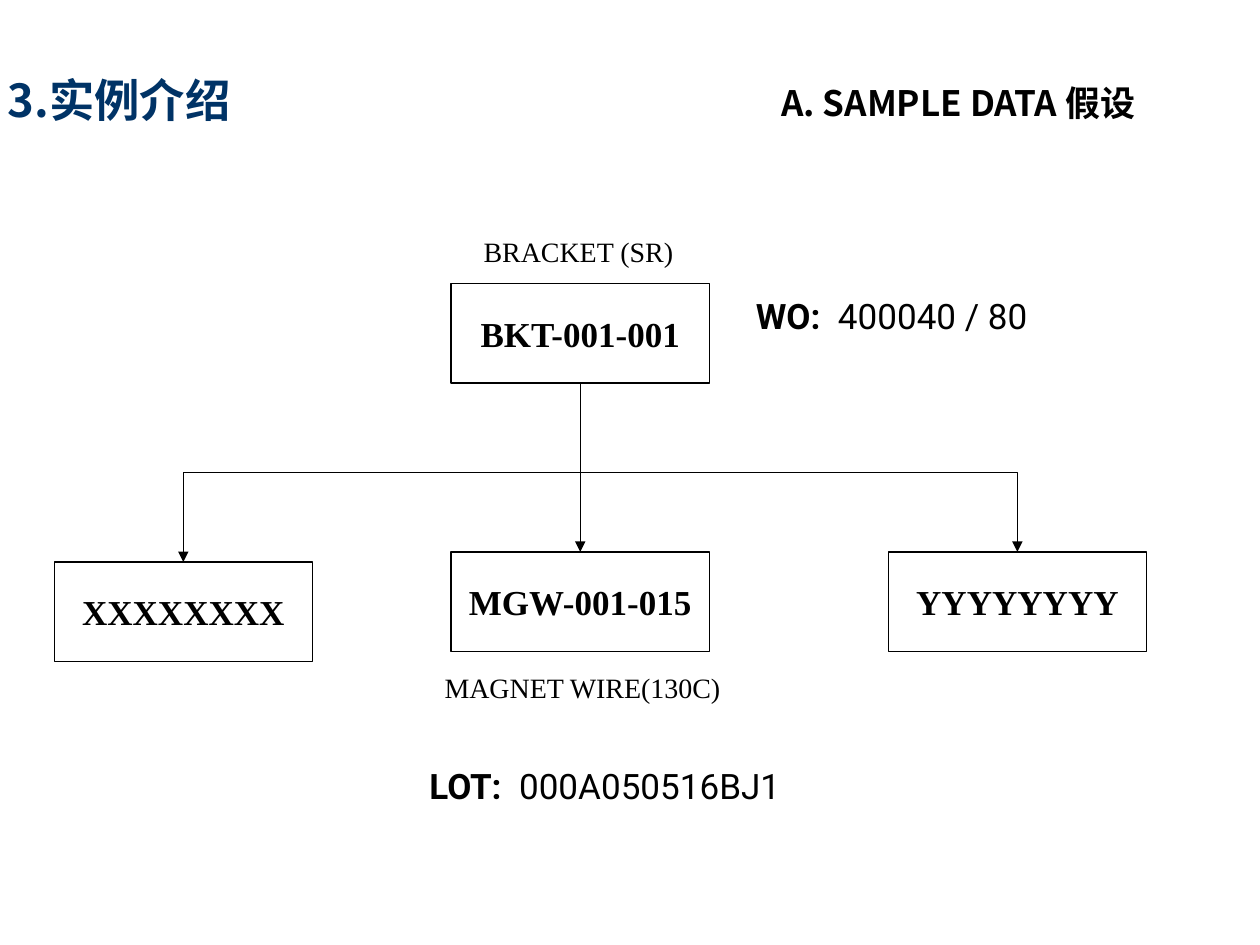
import pptx
import pptx.util
import pptx.dml.color
import pptx.enum.shapes
import pptx.enum.text
import pptx.oxml
import pptx.oxml.ns
from lxml import etree

BLACK = pptx.dml.color.RGBColor(0, 0, 0)
WHITE = pptx.dml.color.RGBColor(255, 255, 255)
NAVY = pptx.dml.color.RGBColor(0x00, 0x33, 0x66)
CJK, SERIF, SANS = "Noto Sans CJK TC", "Times New Roman", "Roboto"
NODE_W, NODE_H = 2.05, 0.79
inch = pptx.util.Inches


def sub(parent, tag, **attrs):
    return etree.SubElement(parent, pptx.oxml.ns.qn(tag), **attrs)


def add_run(p, text, name, size, bold=False, color=BLACK):
    r = p.add_run()
    r.text = text
    for key, value in {"name": name, "size": pptx.util.Pt(size), "bold": bold}.items():
        setattr(r.font, key, value)
    r.font.color.rgb = color
    sub(r.font._element, "a:ea", typeface=name)


def add_label(s, box, runs, wrap=False):
    """Text box holding (text, font, size, bold, colour) runs."""
    sp = s.shapes.add_textbox(*map(inch, box))
    tf = sp.text_frame
    tf.word_wrap = wrap
    p = tf.paragraphs[0]
    for run in runs:
        add_run(p, *run)
    return p


def add_node(s, left, top, text):
    sp = s.shapes.add_shape(pptx.enum.shapes.MSO_SHAPE.RECTANGLE,
                            *map(inch, (left, top, NODE_W, NODE_H)))
    sp.shadow.inherit = False
    sp.fill.solid()
    sp.fill.fore_color.rgb = WHITE
    sp.line.color.rgb = BLACK
    sp.line.width = pptx.util.Pt(0.75)
    tf = sp.text_frame
    tf.word_wrap = False
    tf.vertical_anchor = pptx.enum.text.MSO_ANCHOR.MIDDLE
    p = tf.paragraphs[0]
    p.alignment = pptx.enum.text.PP_ALIGN.CENTER
    add_run(p, text, SERIF, 20, True)
    return sp


def add_arrow(s, x1, y1, x2, y2):
    """Arrow leaving downwards; an elbow is turned a quarter when x changes."""
    kinds = pptx.enum.shapes.MSO_CONNECTOR
    dx, dy = x2 - x1, y2 - y1
    if dx:
        cx, cy = (x1 + x2) / 2, (y1 + y2) / 2
        half_w = dy / 2 if dx < 0 else -dy / 2
        half_h = abs(dx) / 2
        ends = (cx - half_w, cy - half_h, cx + half_w, cy + half_h)
        c = s.shapes.add_connector(kinds.ELBOW, *map(inch, ends))
        c._element.spPr.find(pptx.oxml.ns.qn("a:xfrm")).set(
            "rot", str((90 if dx < 0 else 270) * 60000))
    else:
        c = s.shapes.add_connector(kinds.STRAIGHT, *map(inch, (x1, y1, x2, y2)))
    c.line.color.rgb = BLACK
    c.line.width = pptx.util.Pt(0.75)
    sub(c.line._get_or_add_ln(), "a:tailEnd", type="triangle")
    sub(c._element.spPr, "a:effectLst")


def add_header(s, left, top, width, height):
    p = add_label(s, (left, top, 0.7 * width, height),
                  [(" 3.实例介绍", CJK, 25.9, True, NAVY)], wrap=True)
    p.line_spacing = 1.2
    pPr = p._p.get_or_add_pPr()
    pPr.set("marL", str(inch(0.42)))
    pPr.set("indent", str(inch(-0.42)))
    add_label(s, (left + 6.22, top + 0.16, 3.79, 0.44),
              [("A. SAMPLE DATA 假设", CJK, 20, True)], wrap=True)


def add_tree(s, left, top, width, height):
    root_x = left + 3.15
    child_y = top + 2.13
    mid = root_x + NODE_W / 2
    # Parent and its children
    add_node(s, root_x, top, "BKT-001-001")
    children = [(left, top + height - NODE_H, "XXXXXXXX"),
                (root_x, child_y, "MGW-001-015"),
                (left + width - NODE_W, child_y, "YYYYYYYY")]
    for x, y, text in children:
        add_node(s, x, y, text)
        start = top + NODE_H + (0.08 if x > root_x else 0)
        add_arrow(s, mid, start, x + NODE_W / 2, y)
    # Part names above and below the middle column
    add_label(s, (root_x + 0.16, top - 0.44, 1.71, 0.37),
              [("BRACKET (SR)", SERIF, 16)])
    add_label(s, (root_x - 0.15, child_y + NODE_H + 0.1, 2.4, 0.37),
              [("MAGNET WIRE(130C)", SERIF, 16)])
    # Work order and lot numbers
    for x, y, w, head, value in [
            (root_x + 2.32, top + 0.04, 2.43, "WO:  ", "400040 / 80"),
            (root_x - 0.27, top + 3.77, 2.99, "LOT:  ", "000A050516BJ1")]:
        add_label(s, (x, y, w, 0.44), [(head, SANS, 20, True), (value, SANS, 20)])


def main():
    prs = pptx.Presentation()
    prs.slide_width, prs.slide_height = inch(10), inch(7.5)
    s = prs.slides.add_slide(prs.slide_layouts[6])
    add_header(s, -0.12, 0.44, 10.01, 0.63)
    add_tree(s, 0.43, 2.25, 8.67, 3)
    prs.save("out.pptx")


if __name__ == "__main__":
    main()
